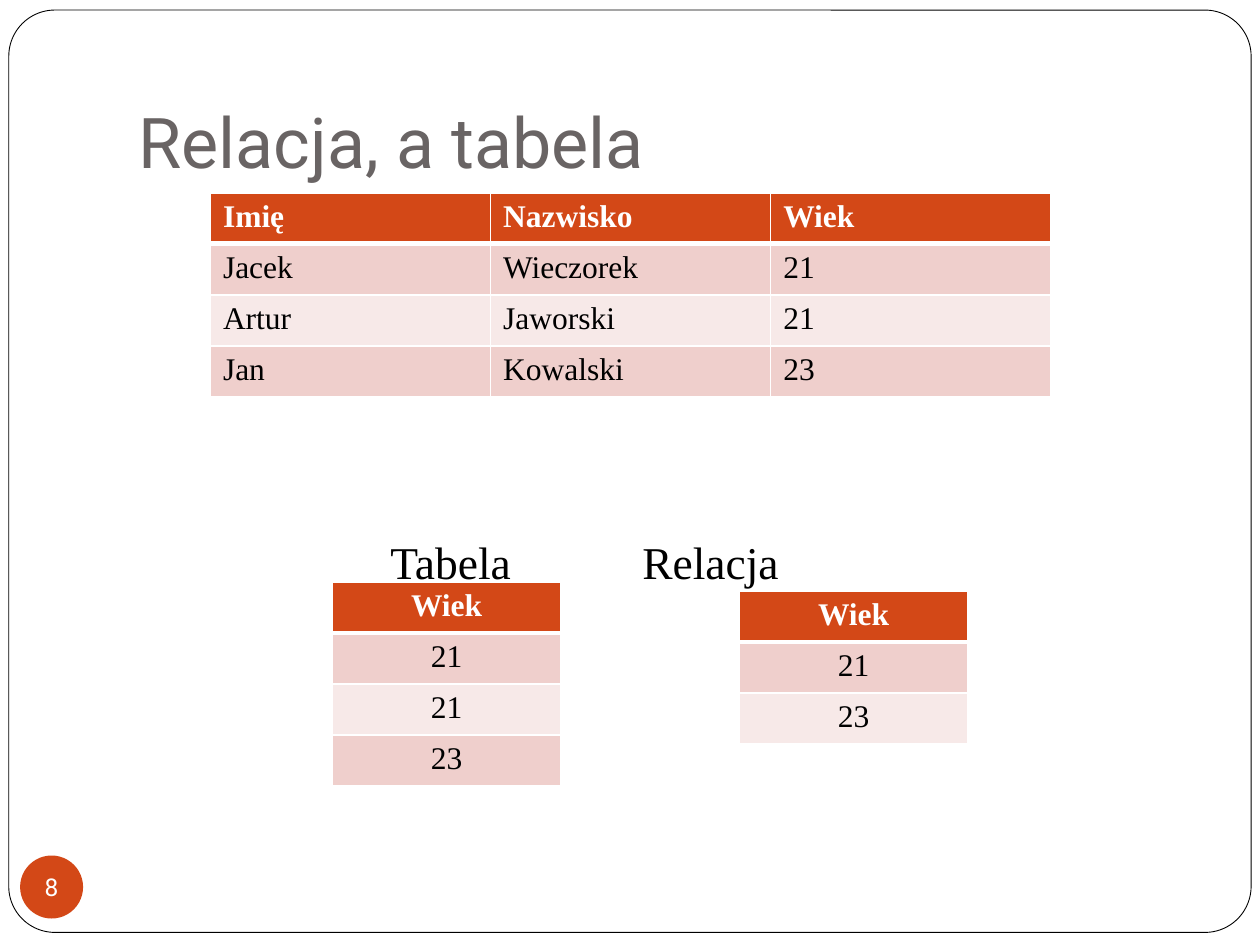
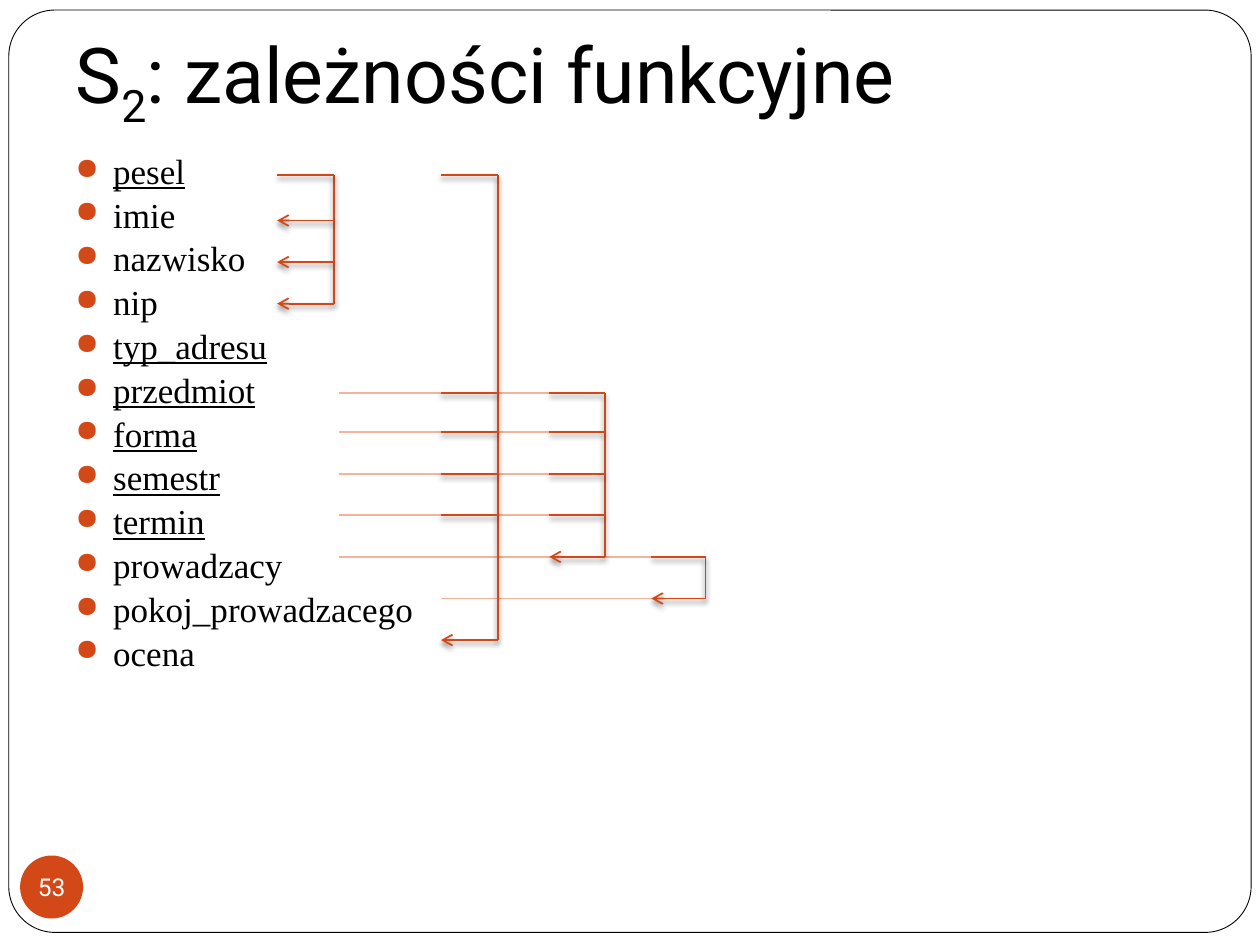
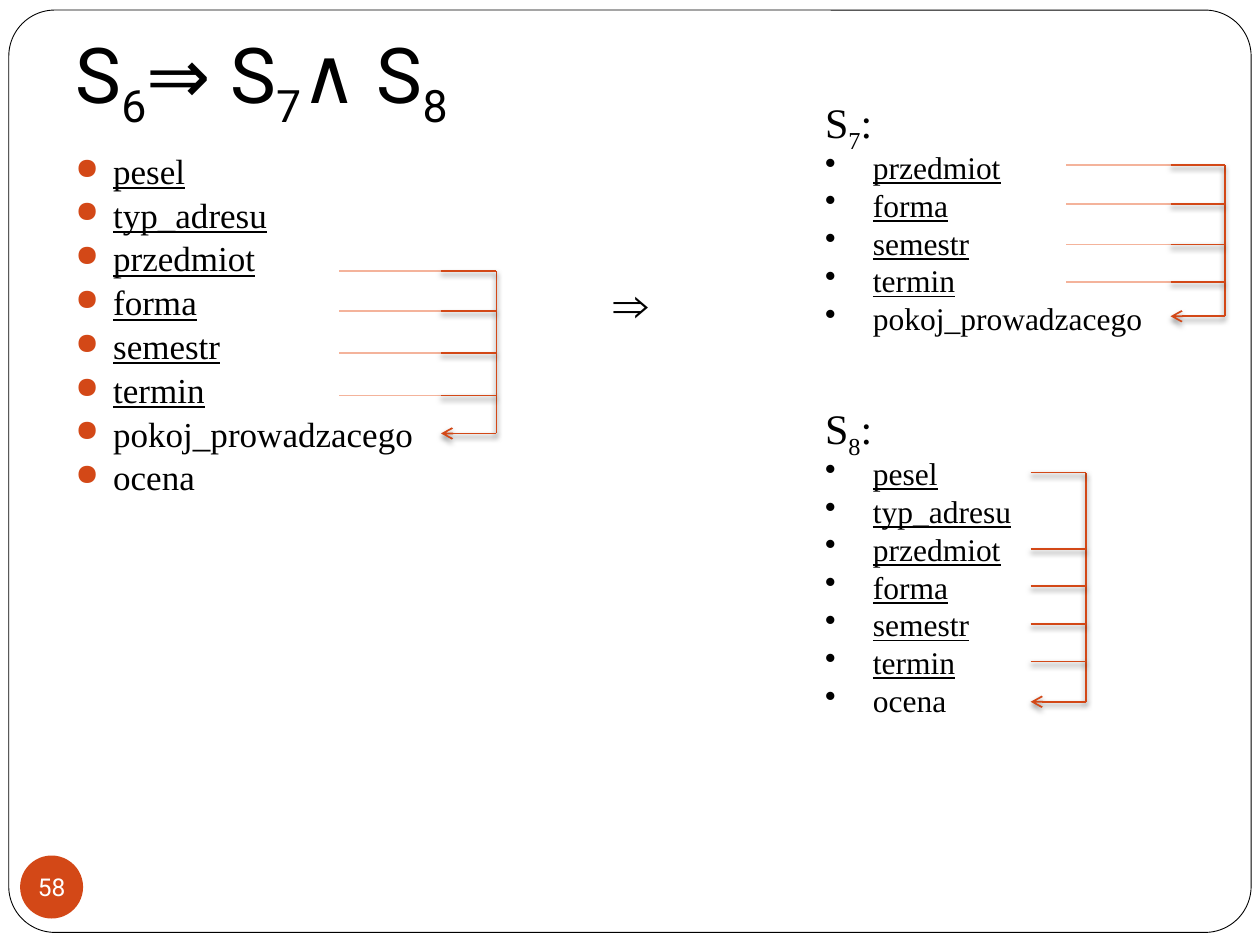
from dataclasses import dataclass

from lxml.etree import SubElement
from pptx import Presentation
from pptx.dml.color import RGBColor as RGB
from pptx.enum.shapes import MSO_CONNECTOR as LINK, MSO_SHAPE as SHAPE
from pptx.enum.text import MSO_ANCHOR as ANCHOR, MSO_AUTO_SIZE as FIT, PP_ALIGN as ALIGN
from pptx.oxml.ns import qn
from pptx.util import Inches, Pt


@dataclass(frozen=True)
class Theme:
    head: str = "Roboto"
    body: str = "Times New Roman"
    ink: str = "000000"
    gray: str = "696464"
    paper: str = "FFFFFF"
    accent: str = "D34817"
    faint: str = "F4B39B"
    bands: tuple = ("EFCFCC", "F7E9E8")
    title: int = 44
    small_title: int = 40
    arrow: int = 28
    label: int = 26
    group: int = 24
    item: int = 20
    cell: int = 18
    badge: int = 14


THEME = Theme()
KEYS = {"pesel", "typ_adresu", "przedmiot", "forma", "semestr", "termin"}


def rgb(color):
    return RGB.from_string(color)


def node(parent, tag, **attrs):
    return SubElement(parent, qn(tag), {key: str(val) for key, val in attrs.items()})


def style(font, size, name, color):
    font.size, font.name = Pt(size), name
    font.color.rgb = rgb(color)


def write(para, text, size, name, color):
    """Fill a paragraph; each part between tildes is a subscript."""
    for i, part in enumerate(text.split("~")):
        if part:
            run = para.add_run()
            run.text = part
            style(run.font, size, name, color)
            if i % 2:
                run.font._element.set("baseline", "-25000")


def border(cell, rank, side, width):
    line = node(cell._tc.get_or_add_tcPr(), "a:ln" + side, w=Pt(width))
    node(node(line, "a:solidFill"), "a:srgbClr", val=THEME.paper)
    line.getparent().insert(rank, line)


class Deck:
    def __init__(self, theme):
        self.theme = theme
        self.prs = Presentation()
        self.prs.slide_width, self.prs.slide_height = Inches(10), Inches(7.5)

    def start(self, title, number, box=(0.5, 0, 9, 1.25), size=THEME.title,
              color=THEME.ink, anchor=ANCHOR.MIDDLE):
        self.slide = self.prs.slides.add_slide(self.prs.slide_layouts[5])
        self.shapes = self.slide.shapes
        self.frame()
        head = self.shapes.title
        head.left, head.top, head.width, head.height = map(Inches, box)
        text = head.text_frame
        text.auto_size, text.vertical_anchor = FIT.NONE, anchor
        if anchor == ANCHOR.BOTTOM:
            text.margin_bottom = Inches(0.1)
        text.paragraphs[0].alignment = ALIGN.LEFT
        write(text.paragraphs[0], title, size, self.theme.head, color)
        self.badge(number)

    def shape(self, kind, box, fill):
        shape = self.shapes.add_shape(kind, *map(Inches, box))
        shape.shadow.inherit = False
        shape.fill.solid()
        shape.fill.fore_color.rgb = rgb(fill)
        return shape

    def frame(self):
        """Draw the rounded page border behind everything else."""
        edge = self.shape(SHAPE.ROUNDED_RECTANGLE, (0.07, 0.08, 9.86, 7.32), self.theme.paper)
        edge.adjustments[0] = 0.05
        edge.line.color.rgb, edge.line.width = rgb(self.theme.ink), Pt(0.5)
        self.shapes._spTree.insert(2, edge._element)

    def badge(self, number):
        disc = self.shape(SHAPE.OVAL, (0.16, 6.79, 0.5, 0.5), self.theme.accent)
        disc.line.fill.background()
        text = disc.text_frame
        text.margin_left = text.margin_right = text.margin_top = text.margin_bottom = 0
        text.word_wrap, text.vertical_anchor = False, ANCHOR.MIDDLE
        text.paragraphs[0].alignment = ALIGN.CENTER
        write(text.paragraphs[0], str(number), self.theme.badge, self.theme.head, self.theme.paper)

    def label(self, text, box, size, align=ALIGN.LEFT):
        frame = self.shapes.add_textbox(*map(Inches, box)).text_frame
        frame.word_wrap = True
        para = frame.paragraphs[0]
        para.alignment = align
        write(para, text, size, self.theme.body, self.theme.ink)
        return frame

    def items(self, frame, names, size, mark, indent, gap, color=None):
        """Add attributes as bullets, with the keys underlined."""
        for name in names.split():
            first = not frame.paragraphs[0].runs
            para = frame.paragraphs[0] if first else frame.add_paragraph()
            para.text = name
            props = para._p.get_or_add_pPr()
            props.set("marL", str(Inches(indent)))
            props.set("indent", str(-Inches(indent)))
            if color:
                node(node(props, "a:buClr"), "a:srgbClr", val=color)
                node(props, "a:buSzPct", val=85000)
            node(props, "a:buChar", char=mark)
            para.line_spacing = 0.8
            if not first:
                para.space_before = Pt(gap)
            font = para.runs[0].font
            style(font, size, self.theme.body, self.theme.ink)
            font.underline = name in KEYS

    def main_list(self, names):
        frame = self.label("", (0.5, 1.2, 9, 5.78), self.theme.item)
        self.items(frame, names, self.theme.item, "●", 0.3, 5.8, self.theme.accent)

    def side_list(self, head, names, top, height):
        frame = self.label(head, (6.45, top, 3.05, height), self.theme.group)
        frame.paragraphs[0].line_spacing = 0.8
        self.items(frame, names, self.theme.cell, "•", 0.38, 4.3)

    def table(self, rows, left, top, width, align=ALIGN.LEFT):
        count, cols = len(rows), len(rows[0])
        grid = self.shapes.add_table(count, cols, Inches(left), Inches(top),
                                     Inches(width), Inches(0.405 * count)).table
        grid.horz_banding = False
        for r, row in enumerate(rows):
            fill = self.theme.bands[(r - 1) % 2] if r else self.theme.accent
            for c, value in enumerate(row):
                cell = grid.cell(r, c)
                cell.text = value
                cell.fill.solid()
                cell.fill.fore_color.rgb = rgb(fill)
                para = cell.text_frame.paragraphs[0]
                para.alignment = align
                font = para.runs[0].font
                style(font, self.theme.cell, self.theme.body,
                      self.theme.ink if r else self.theme.paper)
                font.bold = r == 0
                for rank, side in enumerate("LRTB"):
                    thick = (r, side) in ((0, "B"), (1, "T"))
                    border(cell, rank, side, 3 if thick else 1)

    def line(self, start, end, color, shadow=True, arrow=False):
        link = self.shapes.add_connector(LINK.STRAIGHT, *map(Inches, (*start, *end)))
        link.line.color.rgb, link.line.width = rgb(color), Pt(1)
        if arrow:
            node(link.line._get_or_add_ln(), "a:tailEnd", type="arrow")
        effects = node(link._element.spPr, "a:effectLst")
        if shadow:
            cast = node(effects, "a:outerShdw", blurRad=Pt(3), dist=Pt(2),
                        dir=90 * 60000, rotWithShape=0)
            node(node(cast, "a:srgbClr", val=self.theme.ink), "a:alpha", val=50000)

    def guides(self, left, right, levels):
        for y in levels:
            self.line((right, y), (left, y), self.theme.faint, shadow=False)

    def bracket(self, left, spine, sources, targets):
        """Join source levels to target levels through a vertical spine."""
        color = self.theme.accent
        self.line((spine, sources[0]), (spine, targets[-1]), color)
        for y in sources:
            self.line((left, y), (spine, y), color)
        for y in targets:
            self.line((spine, y), (left, y), color, arrow=True)


def tables(deck):
    deck.start("Relacja, a tabela", 8, (1, 0.3, 8.5, 1.25), THEME.small_title,
               THEME.gray, ANCHOR.BOTTOM)
    for text, left in (("Tabela", 3), ("Relacja", 5)):
        deck.label(text, (left, 4.19, 2, 0.5), THEME.label)
    people = [("Imię", "Nazwisko", "Wiek"), ("Jacek", "Wieczorek", "21"),
              ("Artur", "Jaworski", "21"), ("Jan", "Kowalski", "23")]
    ages = [row[2:] for row in people]
    deck.table(people, 1.67, 1.53, 6.67)
    deck.table(ages, 2.64, 4.62, 1.81, ALIGN.CENTER)
    deck.table(list(dict.fromkeys(ages)), 5.87, 4.69, 1.81, ALIGN.CENTER)


def depends(deck):
    deck.start("S~2~: zależności funkcyjne", 53)
    course = [3.12, 3.43, 3.76, 4.09]
    tutor, room = 4.42, 4.75
    deck.guides(2.69, 4.8, course)
    deck.guides(2.69, 5.6, [tutor])
    deck.guides(3.5, 5.6, [room])
    deck.main_list("pesel imie nazwisko nip typ_adresu przedmiot forma semestr "
                   "termin prowadzacy pokoj_prowadzacego ocena")
    deck.bracket(2.2, 2.65, [1.39], [1.75, 2.08, 2.41])
    deck.bracket(3.5, 3.95, [1.39, *course], [5.08])
    deck.bracket(4.36, 4.8, course, [tutor])
    deck.bracket(5.17, 5.6, [tutor], [room])


def split(deck):
    deck.start("S~6~⇒ S~7~∧ S~8~", 58)
    course, upper = [2.15, 2.47, 2.8, 3.14], [1.31, 1.62, 1.94, 2.24]
    deck.guides(8.46, 9.71, upper)
    deck.guides(2.69, 3.94, course)
    deck.main_list("pesel typ_adresu przedmiot forma semestr termin "
                   "pokoj_prowadzacego ocena")
    deck.label("⇒", (4.59, 2.12, 0.84, 0.57), THEME.arrow, ALIGN.CENTER)
    deck.side_list("S~7~:", "przedmiot forma semestr termin pokoj_prowadzacego", 0.76, 2.23)
    deck.side_list("S~8~:", "pesel typ_adresu przedmiot forma semestr termin ocena", 3.19, 3.68)
    deck.bracket(3.5, 3.94, course, [3.44])
    deck.bracket(9.29, 9.72, upper, [2.51])
    deck.bracket(8.18, 8.62, [3.75, 4.36, 4.65, 4.95, 5.25], [5.57])


def main():
    deck = Deck(THEME)
    for build in (tables, depends, split):
        build(deck)
    deck.prs.save("out.pptx")


if __name__ == "__main__":
    main()
